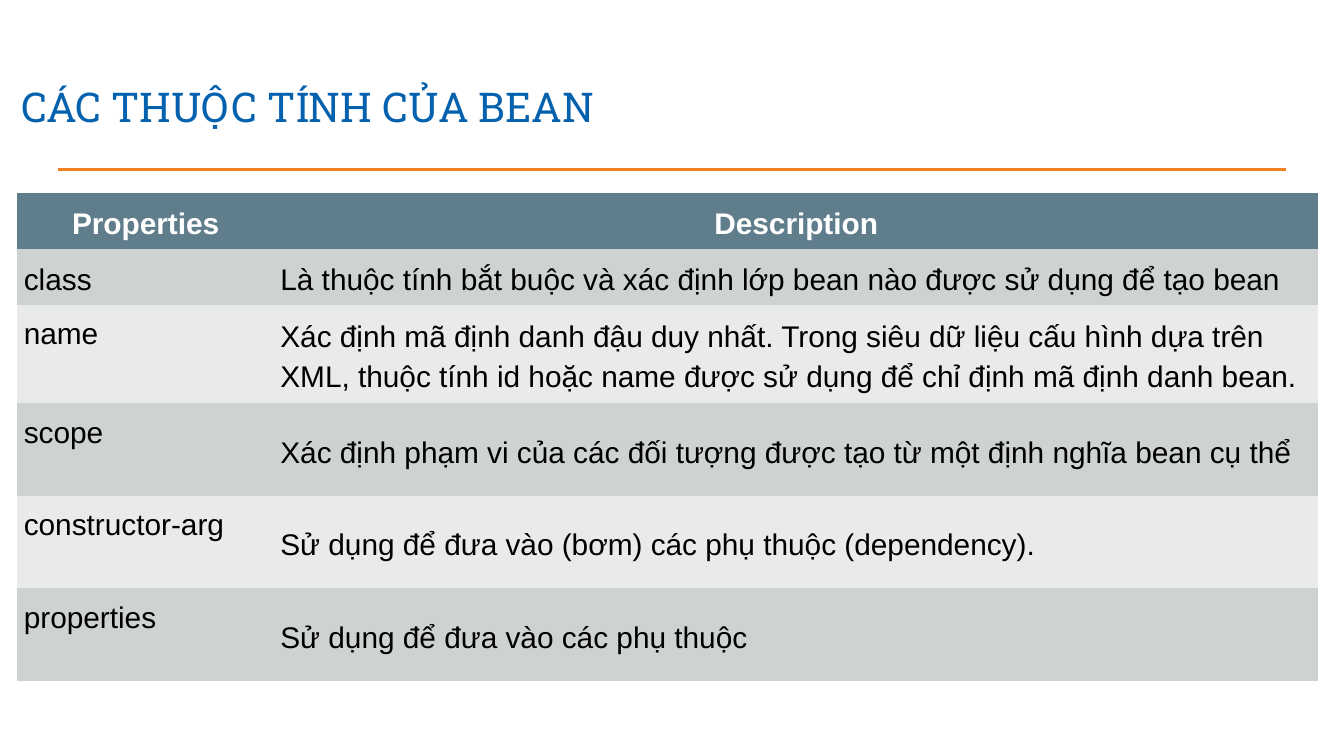
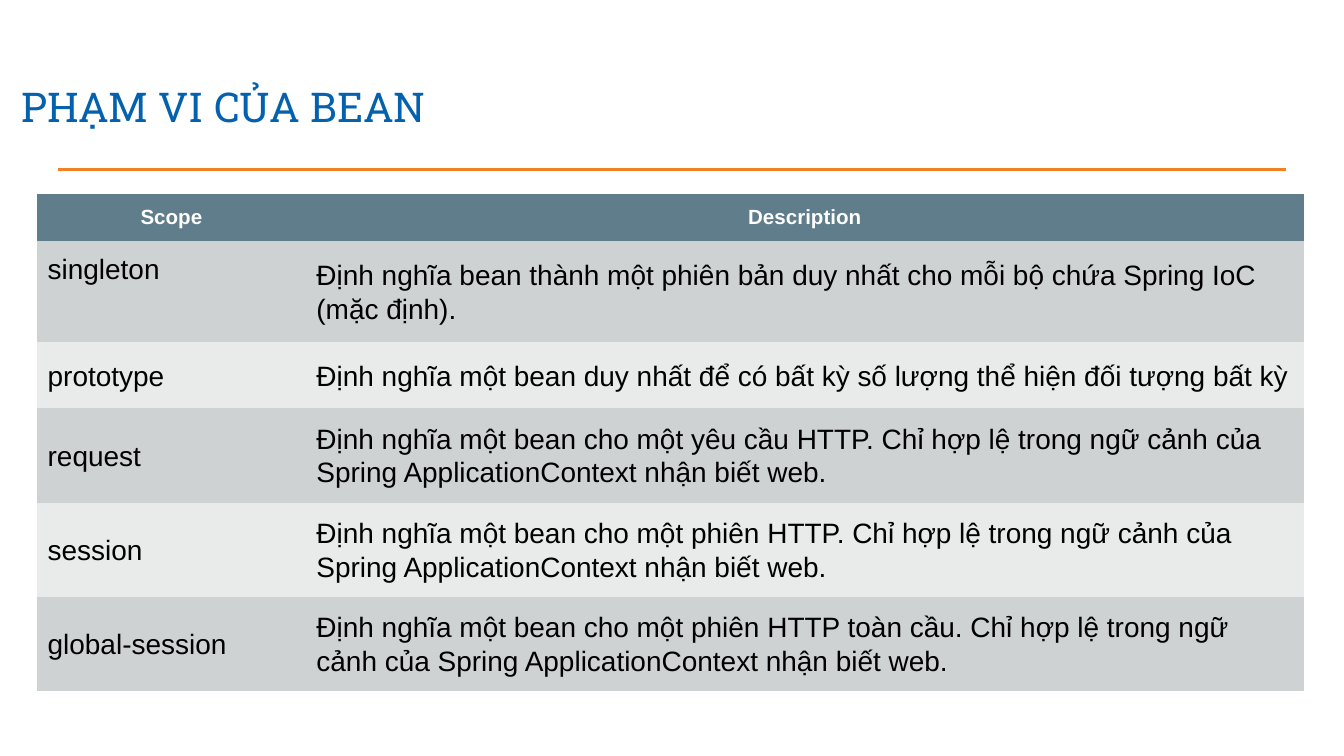
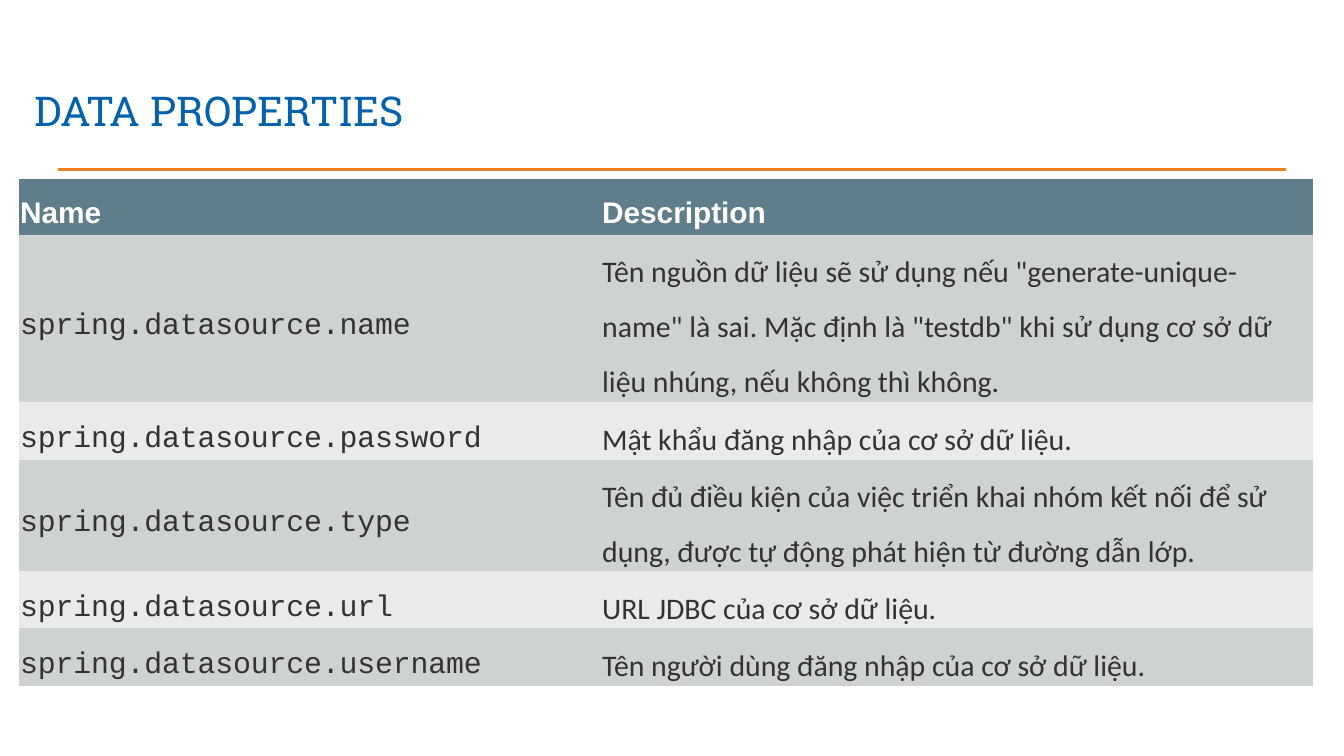
from dataclasses import dataclass

from pptx import Presentation
from pptx.dml.color import RGBColor
from pptx.enum.shapes import MSO_CONNECTOR
from pptx.enum.text import MSO_ANCHOR as Anchor, PP_ALIGN as Align
from pptx.oxml.ns import qn
from pptx.util import Cm, Pt

WHITE = RGBColor(0xFF, 0xFF, 0xFF)
BLACK = RGBColor(0x00, 0x00, 0x00)
GRAY = RGBColor(0x33, 0x33, 0x33)
BLUE = RGBColor(0x03, 0x61, 0xAE)
ORANGE = RGBColor(0xF4, 0x81, 0x21)
SLATE = RGBColor(0x60, 0x7D, 0x8B)
BANDS = RGBColor(0xCF, 0xD2, 0xD3), RGBColor(0xE9, 0xEA, 0xEA)
PLAIN = "{2D5ABB26-0587-4C30-8999-92F81FD0307C}"  # table style without borders

BEAN = [
    ("Properties", "Description"),
    ("class", "Là thuộc tính bắt buộc và xác định lớp bean nào được sử dụng để tạo bean"),
    ("name", "Xác định mã định danh đậu duy nhất. Trong siêu dữ liệu cấu hình dựa trên "
             "XML, thuộc tính id hoặc name được sử dụng để chỉ định mã định danh bean."),
    ("scope", "Xác định phạm vi của các đối tượng được tạo từ một định nghĩa bean cụ thể"),
    ("constructor-arg", "Sử dụng để đưa vào (bơm) các phụ thuộc (dependency)."),
    ("properties", "Sử dụng để đưa vào các phụ thuộc"),
]
SCOPE = [
    ("Scope", "Description"),
    ("singleton", "Định nghĩa bean thành một phiên bản duy nhất cho mỗi bộ chứa Spring IoC "
                  "(mặc định)."),
    ("prototype", "Định nghĩa một bean duy nhất để có bất kỳ số lượng thể hiện đối tượng bất kỳ"),
    ("request", "Định nghĩa một bean cho một yêu cầu HTTP. Chỉ hợp lệ trong ngữ cảnh của "
                "Spring ApplicationContext nhận biết web."),
    ("session", "Định nghĩa một bean cho một phiên HTTP. Chỉ hợp lệ trong ngữ cảnh của "
                "Spring ApplicationContext nhận biết web."),
    ("global-session", "Định nghĩa một bean cho một phiên HTTP toàn cầu. Chỉ hợp lệ trong ngữ "
                       "cảnh của Spring ApplicationContext nhận biết web."),
]
DATA = [
    ("Name", "Description"),
    ("spring.datasource.name",
     'Tên nguồn dữ liệu sẽ sử dụng nếu "generate-unique-name" là sai. Mặc định là "testdb" '
     "khi sử dụng cơ sở dữ liệu nhúng, nếu không thì không."),
    ("spring.datasource.password", "Mật khẩu đăng nhập của cơ sở dữ liệu."),
    ("spring.datasource.type",
     "Tên đủ điều kiện của việc triển khai nhóm kết nối để sử dụng, được tự động phát hiện "
     "từ đường dẫn lớp."),
    ("spring.datasource.url", "URL JDBC của cơ sở dữ liệu."),
    ("spring.datasource.username", "Tên người dùng đăng nhập của cơ sở dữ liệu."),
]


@dataclass
class Look:
    """Text style of one table; tops lists the rows whose key sits at the top."""
    inset: float
    space: float
    size: int
    head: int
    color: RGBColor = BLACK
    fonts: tuple = ("Arial", "Arial")
    aligns: tuple = (Align.JUSTIFY, Align.LEFT)
    center: bool = True
    anchor: Anchor = Anchor.TOP
    tops: tuple = ()
    track: int = 0


def style(para, name, size, color, bold=False):
    """Set the font, and the size of the paragraph mark, which counts for row height."""
    font = para.font
    font.name, font.size, font.bold = name, Pt(size), bold
    font.color.rgb = color
    para._p.get_or_add_endParaRPr().set("sz", str(size * 100))


def add_page(deck, title, left=0.15, top=1.23, height=1.5):
    """Add a slide with its title and the orange rule."""
    slide = deck.slides.add_slide(deck.slide_layouts[6])
    rule = slide.shapes.add_connector(
        MSO_CONNECTOR.STRAIGHT, Cm(1.09), Cm(3.2), Cm(24.31), Cm(3.2))
    rule.line.color.rgb = ORANGE
    rule.line.width = Pt(1.5)
    props = rule._element.spPr
    props.append(props.makeelement(qn("a:effectLst"), {}))

    box = slide.shapes.add_textbox(Cm(left), Cm(top), Cm(22.5), Cm(height))
    frame = box.text_frame
    frame.word_wrap = True
    frame.vertical_anchor = Anchor.BOTTOM
    frame.margin_left = frame.margin_right = Cm(0.25)
    frame.margin_top = frame.margin_bottom = Cm(0.25)
    para = frame.paragraphs[0]
    para.text = title
    style(para, "Roboto Slab", 22, BLUE)
    return slide


def fill_cell(cell, text, row, col, look):
    cell.margin_left = cell.margin_right = Cm(look.inset)
    cell.margin_top = cell.margin_bottom = Cm(look.inset)
    cell.fill.solid()
    para = cell.text_frame.paragraphs[0]
    para.text = text
    para.line_spacing = look.space
    if row == 0:
        cell.fill.fore_color.rgb = SLATE
        cell.vertical_anchor = look.anchor
        para.alignment = Align.CENTER if look.center else Align.LEFT
        style(para, "Arial", look.head, WHITE, True)
        return
    cell.fill.fore_color.rgb = BANDS[(row - 1) % 2]
    high = col == 0 and row in look.tops
    cell.vertical_anchor = Anchor.TOP if high else Anchor.MIDDLE
    para.alignment = look.aligns[col]
    style(para, look.fonts[col], look.size, look.color)
    if col == 0 and look.track:
        para.runs[0]._r.get_or_add_rPr().set("spc", str(look.track))


def add_grid(slide, left, top, cols, rows, data, look):
    shape = slide.shapes.add_table(
        len(rows), len(cols), Cm(left), Cm(top), Cm(sum(cols)), Cm(sum(rows)))
    table = shape.table
    table.horz_banding = False
    table._tbl.tblPr.find(qn("a:tableStyleId")).text = PLAIN
    for col, width in zip(table.columns, cols):
        col.width = Cm(width)
    for row, height in zip(table.rows, rows):
        row.height = Cm(height)
    for r, texts in enumerate(data):
        for c, text in enumerate(texts):
            fill_cell(table.cell(r, c), text, r, c, look)


def main():
    deck = Presentation()
    deck.slide_width, deck.slide_height = Cm(25.4), Cm(14.29)

    slide = add_page(deck, "CÁC THUỘC TÍNH CỦA BEAN")
    look = Look(0.12, 1.2, 16, 16, anchor=Anchor.MIDDLE, tops=(2, 3, 4, 5))
    add_grid(slide, 0.33, 3.65, (4.85, 19.74), [0.98] * 2 + [1.75] * 4, BEAN, look)

    slide = add_page(deck, "PHẠM VI CỦA BEAN")
    look = Look(0.2, 1.07, 15, 11, tops=(1,))
    add_grid(slide, 0.7, 3.66, (5.08, 18.86), [0.86, 1.91, 1.25] + [1.78] * 3, SCOPE, look)

    slide = add_page(deck, "DATA PROPERTIES", 0.41, 0.61, 2.18)
    look = Look(0.02, 1.5, 16, 16, GRAY, ("Courier New", "Calibri"),
                (Align.LEFT, Align.LEFT), center=False, track=-5)
    add_grid(slide, 0.36, 3.38, (11, 13.46), (0.98, 3.16, 1.09, 2.11, 1.08, 1.09), DATA, look)

    deck.save("out.pptx")


if __name__ == "__main__":
    main()
